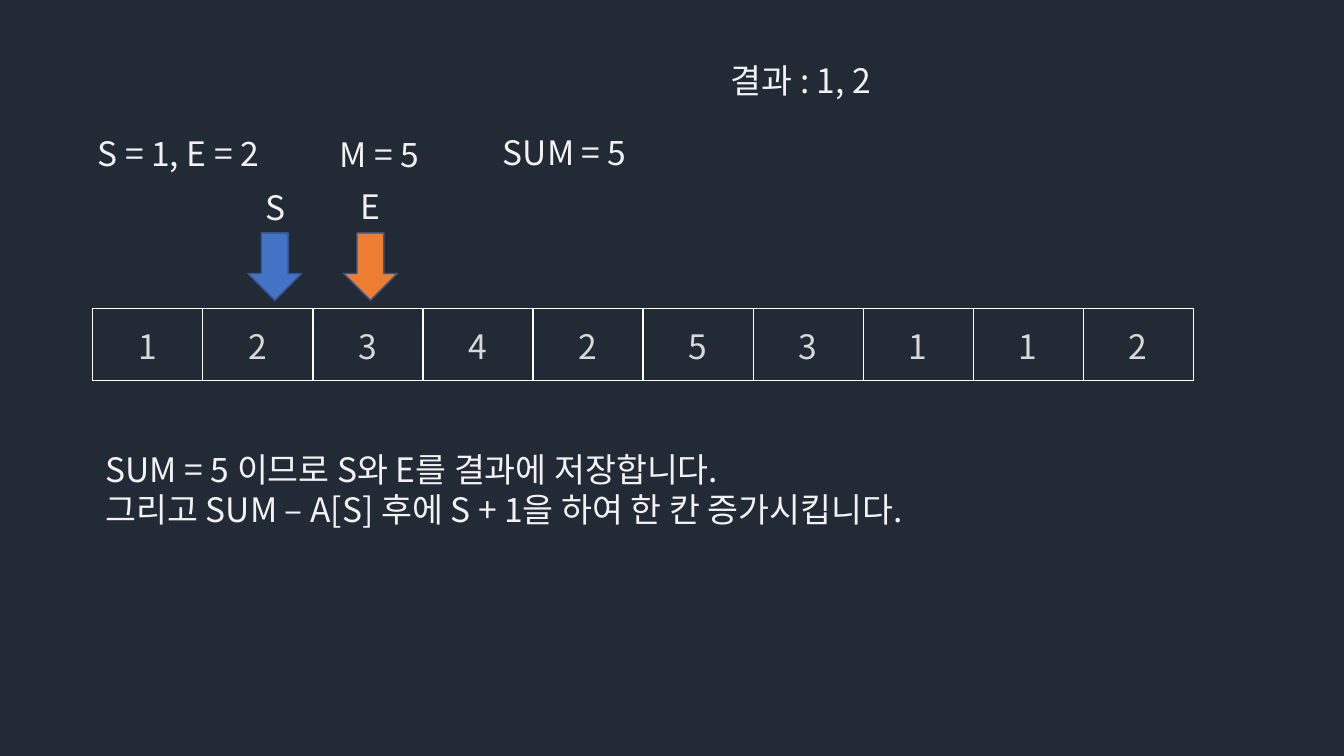
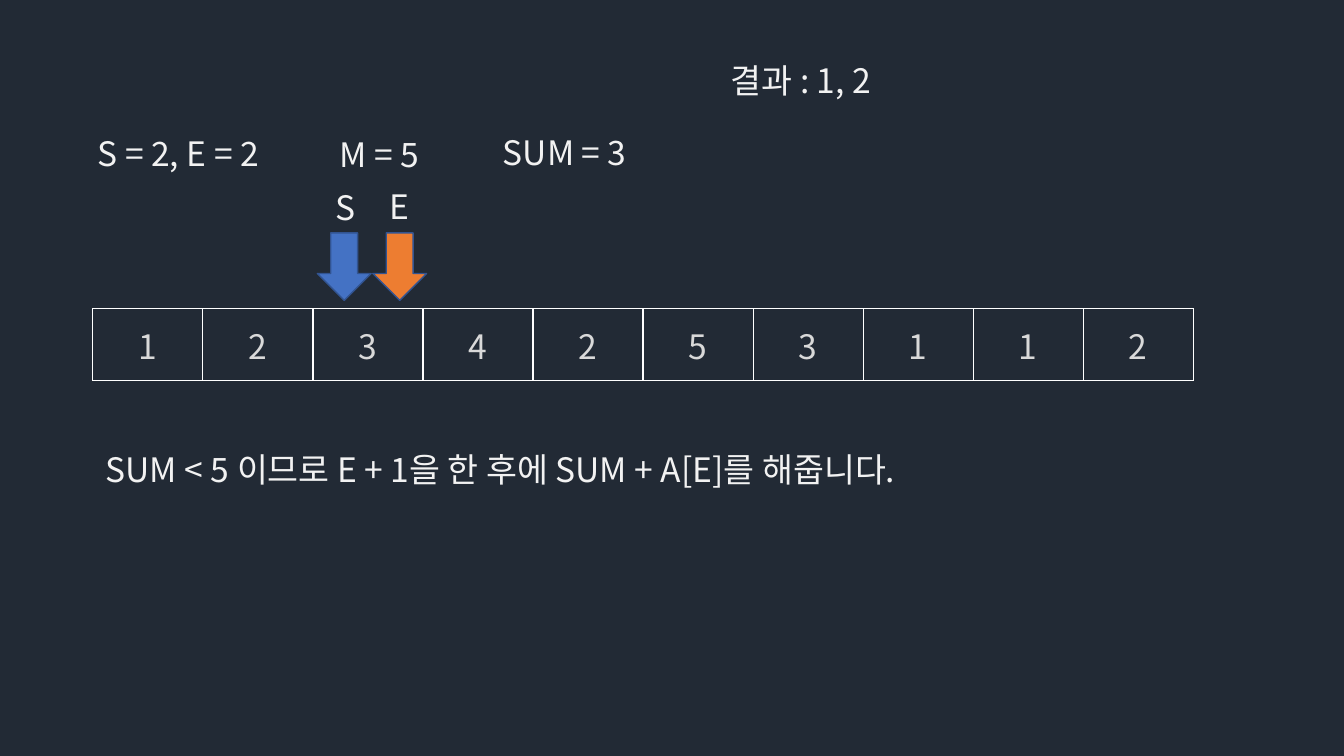
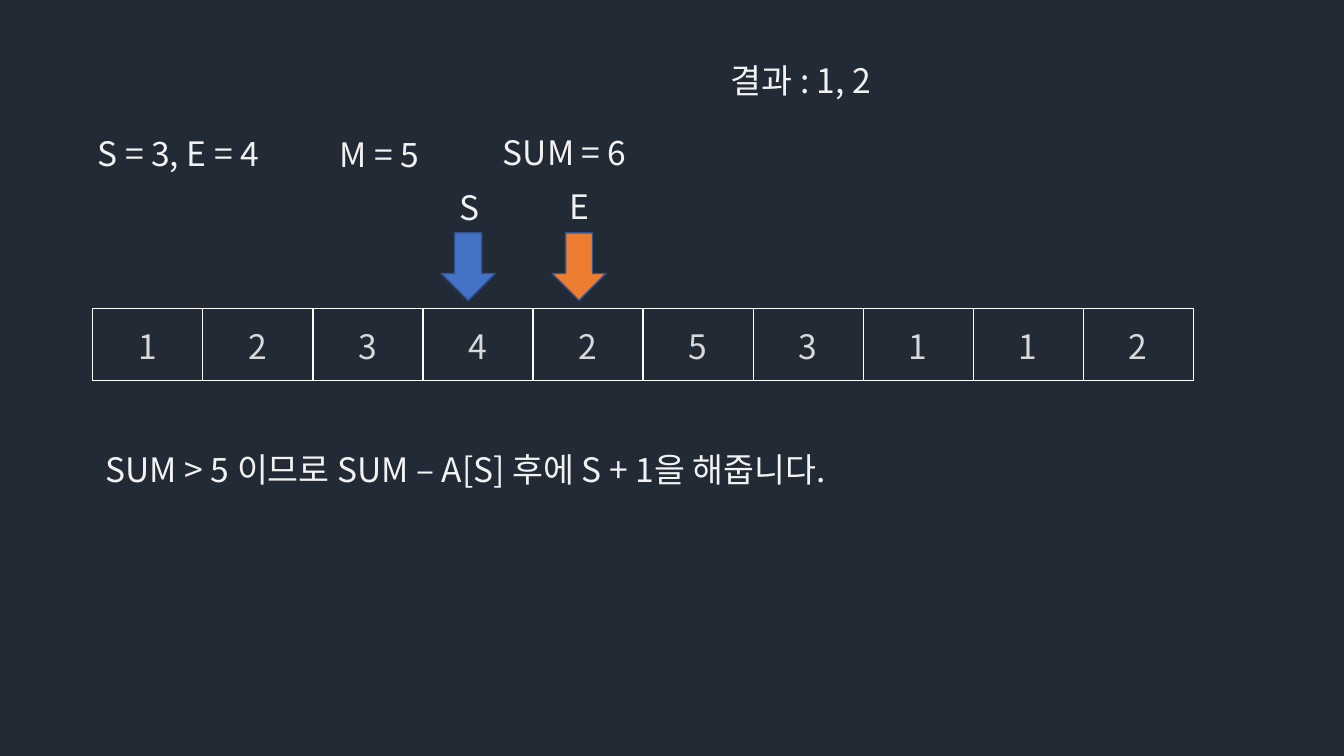
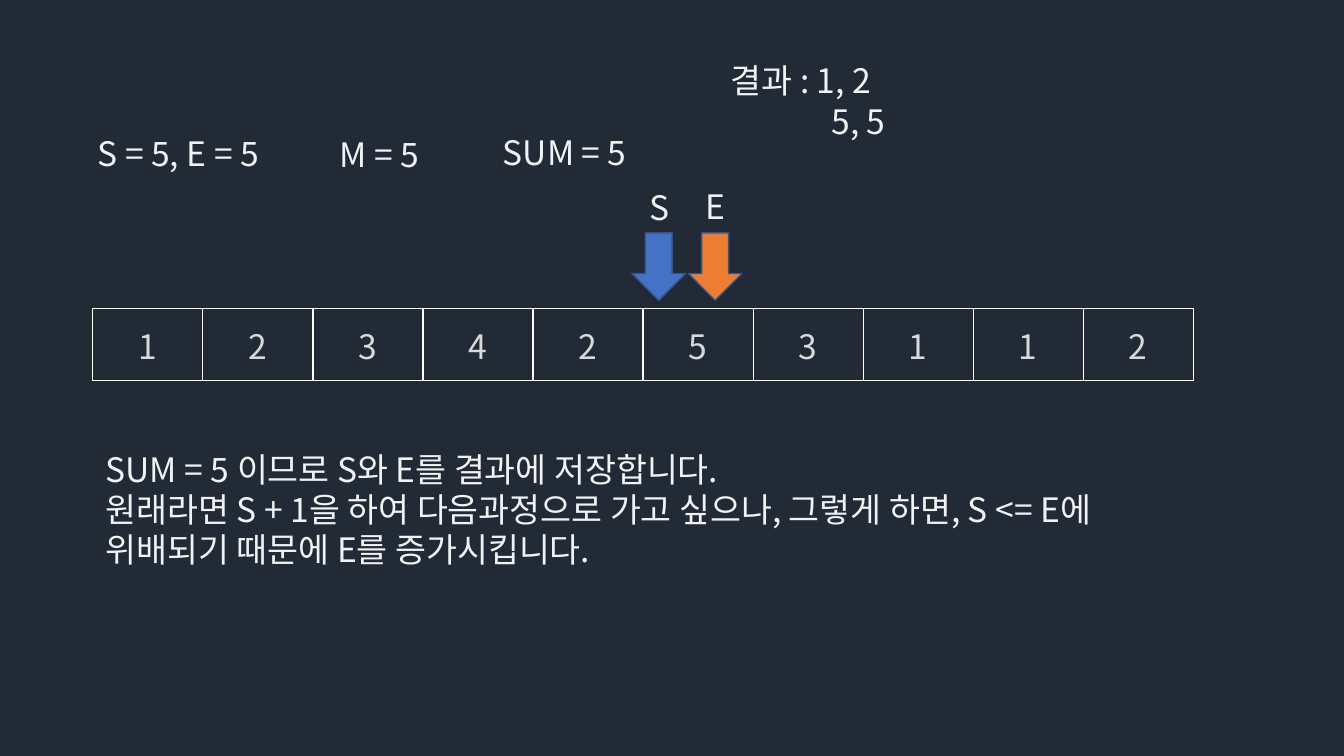
import pptx
import pptx.dml.color
import pptx.enum.shapes
import pptx.enum.text
import pptx.oxml
import pptx.oxml.ns
import pptx.util
from lxml import etree

Pt = pptx.util.Pt
RGBColor = pptx.dml.color.RGBColor

# Shared style
BACKGROUND = RGBColor(0x22, 0x2A, 0x35)
TEXT = RGBColor(0xF2, 0xF2, 0xF2)
CELL_TEXT = RGBColor(0xD9, 0xD9, 0xD9)
BORDER = RGBColor(0xFF, 0xFF, 0xFF)
START_COLOR = RGBColor(0x44, 0x72, 0xC4)
END_COLOR = RGBColor(0xED, 0x7D, 0x31)
ARROW_LINE = RGBColor(0x32, 0x54, 0x91)
FONT = "Noto Sans CJK KR"
FONT_SIZE = 24
LINE_HEIGHT = 29.2
TAB_STOP = 72

# Array table and arrows
NUMBERS = [1, 2, 3, 4, 2, 5, 3, 1, 1, 2]
TABLE_LEFT, TABLE_TOP = 66.3, 220.5
CELL_WIDTH, CELL_HEIGHT = 78.62, 51.1
ARROW_TOP, ARROW_WIDTH, ARROW_HEIGHT = 166.4, 38.4, 48.2
LABEL_WIDTH = 28

# Steps: start and end index, sum, arrow centres, results, explanation
STEPS = [
    (1, 2, 5, 196.2, 264.6, ["결과 : 1, 2"],
     ["SUM = 5 이므로 S와 E를 결과에 저장합니다.",
      "그리고 SUM – A[S] 후에 S + 1을 하여 한 칸 증가시킵니다."]),
    (2, 2, 3, 245.9, 285.5, ["결과 : 1, 2"],
     ["SUM < 5 이므로 E + 1을 한 후에 SUM + A[E]를 해줍니다."]),
    (3, 4, 6, 334.4, 413.6, ["결과 : 1, 2"],
     ["SUM > 5 이므로 SUM – A[S] 후에 S + 1을 해줍니다."]),
    (5, 5, 5, 470.5, 510.8, ["결과 : 1, 2", "\t5, 5"],
     ["SUM = 5 이므로 S와 E를 결과에 저장합니다.",
      "원래라면 S + 1을 하여 다음과정으로 가고 싶으나, 그렇게 하면, "
      "S <= E에 위배되기 때문에 E를 증가시킵니다."]),
]


def format_runs(paragraph, color):
    for run in paragraph.runs:
        run.font.size = Pt(FONT_SIZE)
        run.font.name = FONT
        run.font.color.rgb = color
        east_asian = etree.SubElement(run.font._element, pptx.oxml.ns.qn("a:ea"))
        east_asian.set("typeface", FONT)


def add_tab_stop(paragraph):
    properties = paragraph._p.get_or_add_pPr()
    tabs = etree.SubElement(properties, pptx.oxml.ns.qn("a:tabLst"))
    tab = etree.SubElement(tabs, pptx.oxml.ns.qn("a:tab"))
    tab.set("pos", str(Pt(TAB_STOP)))
    tab.set("algn", "l")


def add_text(slide, left, top, width, lines):
    height = 7.2 + LINE_HEIGHT * len(lines)
    shape = slide.shapes.add_textbox(Pt(left), Pt(top), Pt(width), Pt(height))
    text_frame = shape.text_frame
    text_frame.word_wrap = True
    text_frame.auto_size = pptx.enum.text.MSO_AUTO_SIZE.SHAPE_TO_FIT_TEXT
    text_frame.text = "\n".join(lines)
    for paragraph in text_frame.paragraphs:
        if "\t" in paragraph.text:
            add_tab_stop(paragraph)
        format_runs(paragraph, TEXT)


def add_pointer(slide, label, center, label_left, label_top, color):
    arrow = slide.shapes.add_shape(
        pptx.enum.shapes.MSO_SHAPE.DOWN_ARROW, Pt(center - ARROW_WIDTH / 2),
        Pt(ARROW_TOP), Pt(ARROW_WIDTH), Pt(ARROW_HEIGHT))
    arrow.shadow.inherit = False
    arrow.fill.solid()
    arrow.fill.fore_color.rgb = color
    arrow.line.color.rgb = ARROW_LINE
    arrow.line.width = Pt(1)
    add_text(slide, label_left, label_top, LABEL_WIDTH, [label])


def set_borders(cell):
    properties = cell._tc.get_or_add_tcPr()
    for position, side in enumerate(("lnL", "lnR", "lnT", "lnB")):
        border = pptx.oxml.parse_xml(
            f'<a:{side} {pptx.oxml.ns.nsdecls("a")} w="{Pt(1)}"><a:solidFill>'
            f'<a:srgbClr val="{BORDER}"/></a:solidFill></a:{side}>')
        properties.insert(position, border)


def add_array(slide):
    count = len(NUMBERS)
    table = slide.shapes.add_table(
        1, count, Pt(TABLE_LEFT), Pt(TABLE_TOP),
        Pt(CELL_WIDTH * count), Pt(CELL_HEIGHT)).table
    table.first_row = False
    table.horz_banding = False
    for column, number in enumerate(NUMBERS):
        table.columns[column].width = Pt(CELL_WIDTH)
        cell = table.cell(0, column)
        cell.fill.background()
        set_borders(cell)
        cell.vertical_anchor = pptx.enum.text.MSO_ANCHOR.MIDDLE
        cell.text_frame.text = str(number)
        paragraph = cell.text_frame.paragraphs[0]
        paragraph.alignment = pptx.enum.text.PP_ALIGN.CENTER
        format_runs(paragraph, CELL_TEXT)


def add_step(presentation, start, end, total, start_center, end_center,
             results, explanation):
    slide = presentation.slides.add_slide(presentation.slide_layouts[6])
    slide.background.fill.solid()
    slide.background.fill.fore_color.rgb = BACKGROUND

    # Current values
    add_text(slide, 62.6, 91.4, 189.4, [f"S = {start}, E = {end}"])
    add_text(slide, 235.6, 92.2, 125.3, ["M = 5"])
    add_text(slide, 352.1, 90.7, 125.3, [f"SUM = {total}"])
    add_text(slide, 514.8, 39.6, 337.7, results)

    # Pointers above the array
    add_pointer(slide, "S", start_center, start_center - 13.3, 129.8, START_COLOR)
    add_pointer(slide, "E", end_center, end_center - 14, 129, END_COLOR)
    add_array(slide)

    add_text(slide, 68.4, 316.8, 784.1, explanation)


def main():
    presentation = pptx.Presentation()
    presentation.slide_width = Pt(960)
    presentation.slide_height = Pt(540)
    for step in STEPS:
        add_step(presentation, *step)
    presentation.save("out.pptx")


if __name__ == "__main__":
    main()
